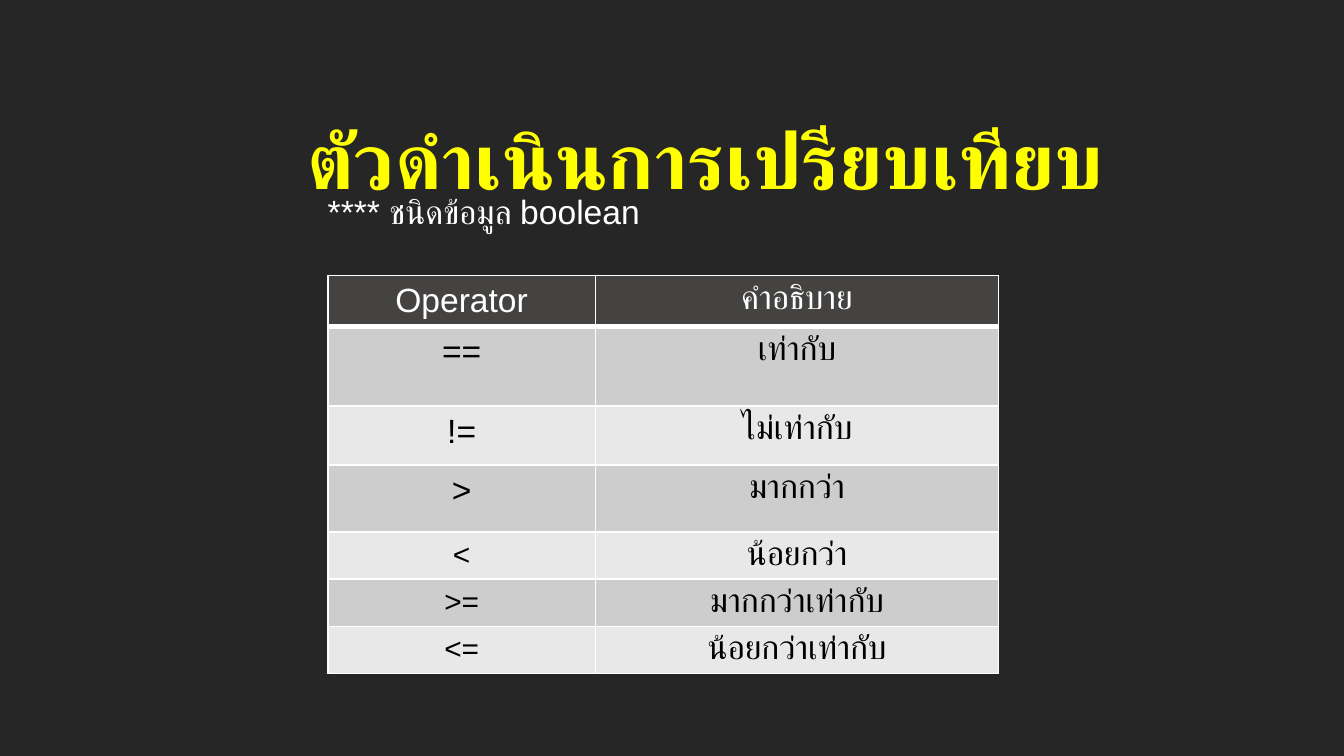
from lxml import etree
from pptx import Presentation
from pptx.dml.color import RGBColor
from pptx.enum import text
from pptx.oxml.ns import qn
from pptx.util import Inches, Pt


def color(code):
    return RGBColor.from_string(code)


def style(par, face, size, code, bold=False):
    font = par.font
    font.name, font.size, font.bold = face, Pt(size), bold
    font.color.rgb = color(code)


prs = Presentation()
prs.slide_width, prs.slide_height = Inches(10), Inches(10) * 9 // 16
slide = prs.slides.add_slide(prs.slide_layouts[5])
back = slide.background.fill
back.solid()
back.fore_color.rgb = color("262626")

title = slide.shapes.title
title.left, title.top = Inches(0), Inches(0.69)
title.width, title.height = Inches(10), Inches(0.63)
frame = title.text_frame
frame.text = "ตัวดำเนินการเปรียบเทียบ"
frame.auto_size = text.MSO_AUTO_SIZE.NONE
frame.vertical_anchor = text.MSO_ANCHOR.MIDDLE
par = frame.paragraphs[0]
par.alignment = text.PP_ALIGN.CENTER
par.line_spacing = 1.5
props = par._p.get_or_add_pPr()
props.set("marL", str(Inches(0.5)))
props.set("indent", "0")
style(par, "Calibri", 42, "FFFF00", True)

rows = [
    ("Operator", "คำอธิบาย", 0.35, 18),
    ("==", "เท่ากับ", 0.59, 18),
    ("!=", "ไม่เท่ากับ", 0.44, 18),
    (">", "มากกว่า", 0.5, 18),
    ("<", "น้อยกว่า", 0.35, 16),
    (">=", "มากกว่าเท่ากับ", 0.35, 16),
    ("<=", "น้อยกว่าเท่ากับ", 0.35, 16),
]
high = sum(row[2] for row in rows)
table = slide.shapes.add_table(
    len(rows), 2, Inches(2.44), Inches(2.05), Inches(4.99), Inches(high)
).table
table.columns[0].width, table.columns[1].width = Inches(1.99), Inches(3)

for r, (sign, label, height, size) in enumerate(rows):
    table.rows[r].height = Inches(height)
    shade = "444342" if r == 0 else ("E8E8E8", "CDCDCD")[r % 2]
    ink = "FFFFFF" if r == 0 else "000000"
    for c, (words, points) in enumerate([(sign, size), (label, 18)]):
        cell = table.cell(r, c)
        cell.text = words
        par = cell.text_frame.paragraphs[0]
        par.alignment = text.PP_ALIGN.CENTER
        style(par, "Arial", points, ink)
        props = cell._tc.get_or_add_tcPr()
        for side in ("lnL", "lnR", "lnT", "lnB"):
            thick = (r, side) in ((0, "lnB"), (1, "lnT"))
            line = etree.SubElement(props, qn("a:" + side), w=str(Pt(3 if thick else 1)))
            fill = etree.SubElement(line, qn("a:solidFill"))
            etree.SubElement(fill, qn("a:srgbClr"), val="FFFFFF")
        cell.fill.solid()
        cell.fill.fore_color.rgb = color(shade)

note = slide.shapes.add_textbox(Inches(2.34), Inches(1.32), Inches(7.2), Inches(0.26))
frame = note.text_frame
frame.word_wrap = True
frame.margin_left = frame.margin_right = Inches(0.1)
frame.margin_top = frame.margin_bottom = Inches(0.1)
frame.text = "**** ชนิดข้อมูล boolean"
style(frame.paragraphs[0], "Arial", 18, "FFFFFF")

prs.save("out.pptx")
